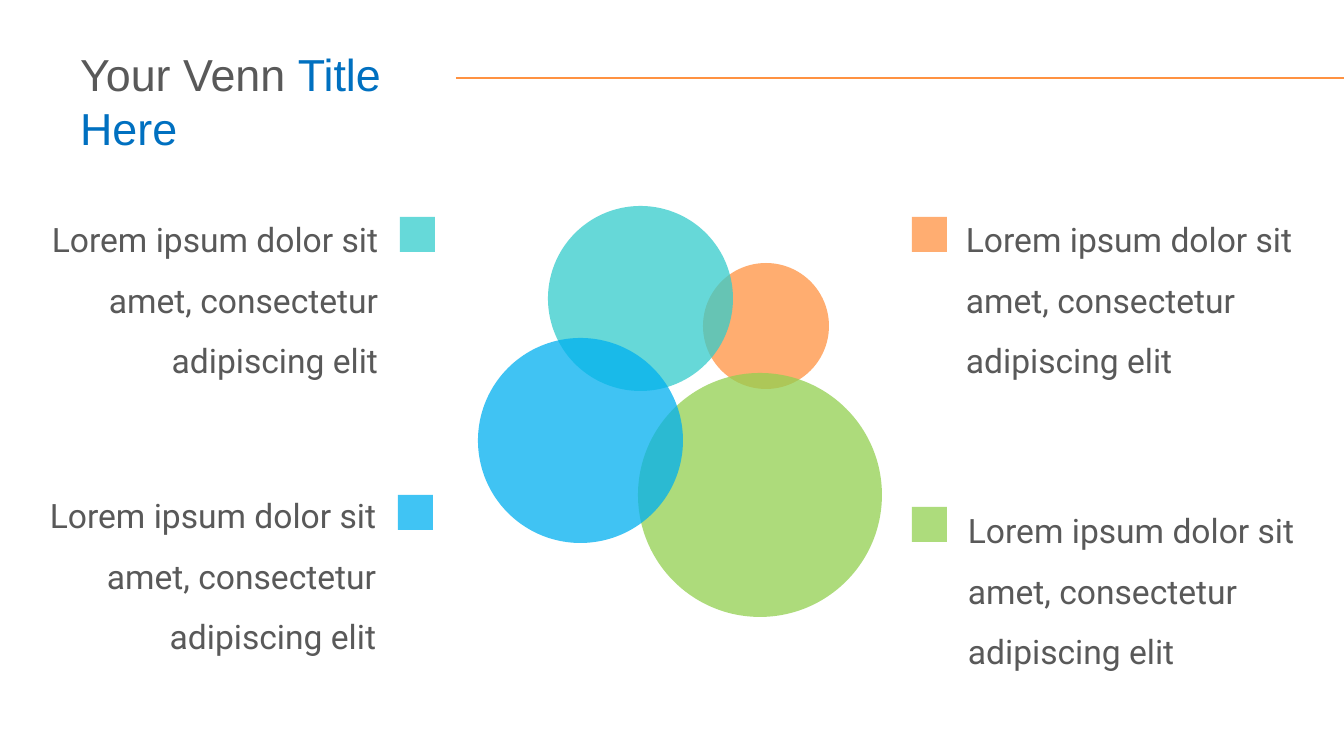
from lxml import etree
from pptx import Presentation
from pptx import util as u
from pptx.dml.color import RGBColor
from pptx.enum import shapes, text
from pptx.oxml.ns import qn

PX = 914400 / 100.8
GREY, BLUE, ORANGE = "595959", "0070C0", "FF9241"
LOREM = "Lorem ipsum dolor sit amet, consectetur adipiscing elit"


def emu(*lengths):
    return [u.Emu(round(v * PX)) for v in lengths]


def rgb(value):
    return RGBColor.from_string(value)


class Deck:
    """Draws styled elements on the current slide, in px."""

    def __init__(self, width, height):
        self.prs = Presentation()
        self.prs.slide_width, self.prs.slide_height = emu(width, height)
        self.s = self.prs.slides.add_slide(self.prs.slide_layouts[5])

    def style(self, p, size, font, color, align):
        p.alignment = align
        p.font.size, p.font.name = u.Pt(size), font
        p.font.color.rgb = rgb(color)

    def title(self, box, runs):
        sp = self.s.shapes.title
        sp.left, sp.top, sp.width, sp.height = emu(*box)
        tf = sp.text_frame
        tf.word_wrap = True
        tf.auto_size = text.MSO_AUTO_SIZE.SHAPE_TO_FIT_TEXT
        tf.vertical_anchor = text.MSO_ANCHOR.TOP
        p = tf.paragraphs[0]
        self.style(p, 32, "Arial", GREY, text.PP_ALIGN.LEFT)
        for words, color in runs:
            r = p.add_run()
            r.text = words
            r.font.color.rgb = rgb(color)

    def shape(self, kind, x, y, w, h, color, alpha=100):
        sp = self.s.shapes.add_shape(kind, *emu(x, y, w, h))
        sp.shadow.inherit = False
        sp.line.fill.background()
        sp.fill.solid()
        sp.fill.fore_color.rgb = rgb(color)
        if alpha < 100:
            clr = sp.fill._xPr.find(".//" + qn("a:srgbClr"))
            etree.SubElement(clr, qn("a:alpha"), val=str(alpha * 1000))

    def circle(self, x, y, d, color):
        self.shape(shapes.MSO_SHAPE.OVAL, x, y, d, d, color, 75)

    def square(self, x, y, d, color):
        self.shape(shapes.MSO_SHAPE.RECTANGLE, x, y, d, d, color)

    def label(self, x, y, words, align):
        tf = self.s.shapes.add_textbox(*emu(x, y, 386, 185)).text_frame
        tf.word_wrap = True
        tf.auto_size = text.MSO_AUTO_SIZE.SHAPE_TO_FIT_TEXT
        p = tf.paragraphs[0]
        p.text, p.line_spacing = words, 1.5
        self.style(p, 24, "Roboto", GREY, align)

    def line(self, x1, y1, x2, y2, color, width):
        c = self.s.shapes.add_connector(shapes.MSO_CONNECTOR.STRAIGHT, *emu(x1, y1, x2, y2))
        c.line.color.rgb = rgb(color)
        c.line.width = u.Pt(width)
        etree.SubElement(c._element.spPr, qn("a:effectLst"))


def main():
    d = Deck(1344, 756)
    d.title((70, 42, 366, 65), [("Your Venn ", GREY), ("Title Here", BLUE)])
    for x, y, size, color in [
        (703, 263, 126, ORANGE),
        (548, 206, 185, "33CCCC"),
        (638, 373, 244, "92D050"),
        (478, 338, 205, "00B0F0"),
    ]:
        d.circle(x, y, size, color)
    right, left = text.PP_ALIGN.RIGHT, text.PP_ALIGN.LEFT
    for x, y, align, key_x, key_y, color in [
        (2, 194, right, 400, 217, "66D9D9"),
        (0, 470, right, 398, 495, "40C4F4"),
        (956, 194, left, 912, 217, "FFAD71"),
        (958, 485, left, 912, 507, "ADDC7C"),
    ]:
        d.label(x, y, LOREM, align)
        d.square(key_x, key_y, 35, color)
    d.line(456, 78, 1344, 78, ORANGE, 1.5)
    d.prs.save("out.pptx")


if __name__ == "__main__":
    main()
